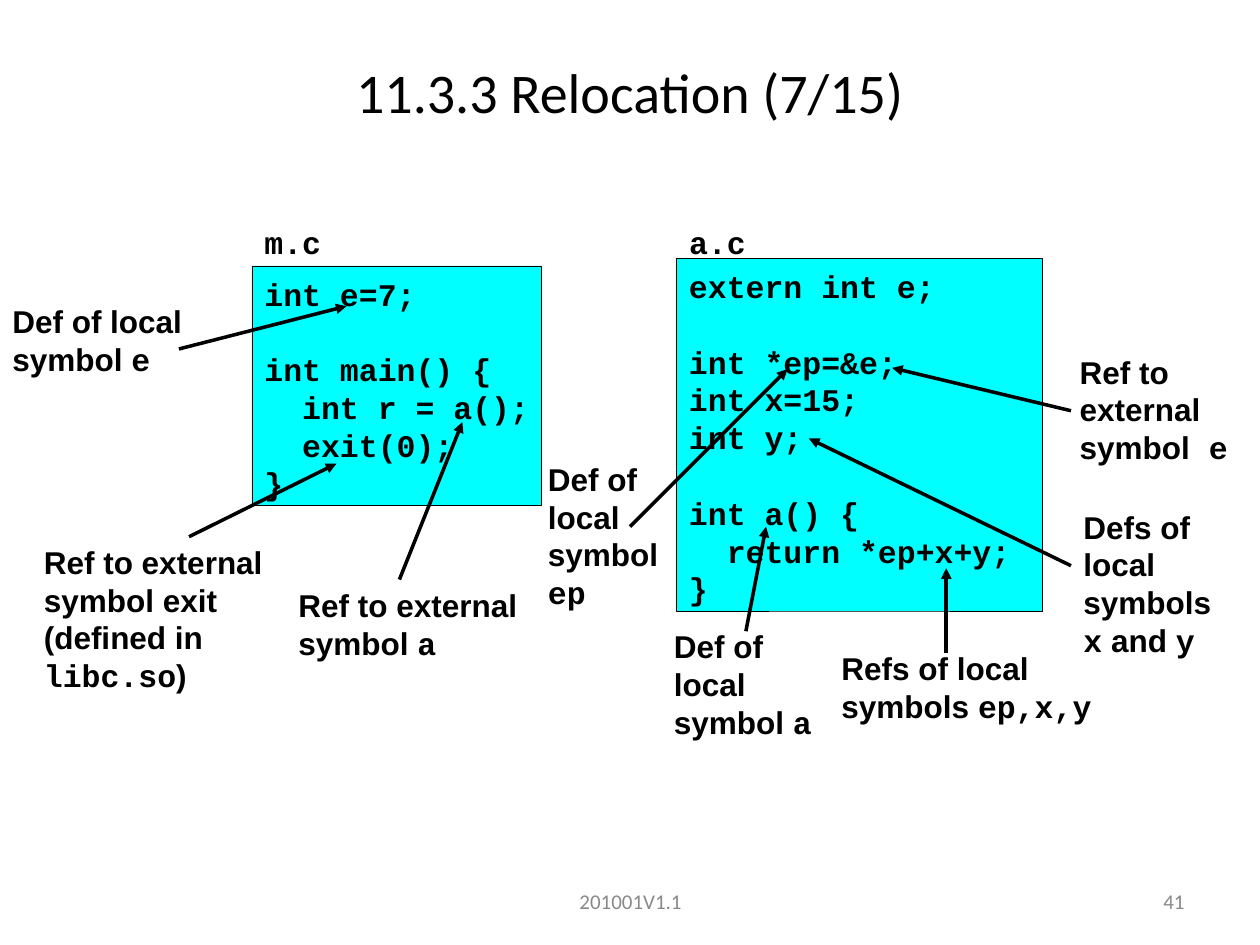
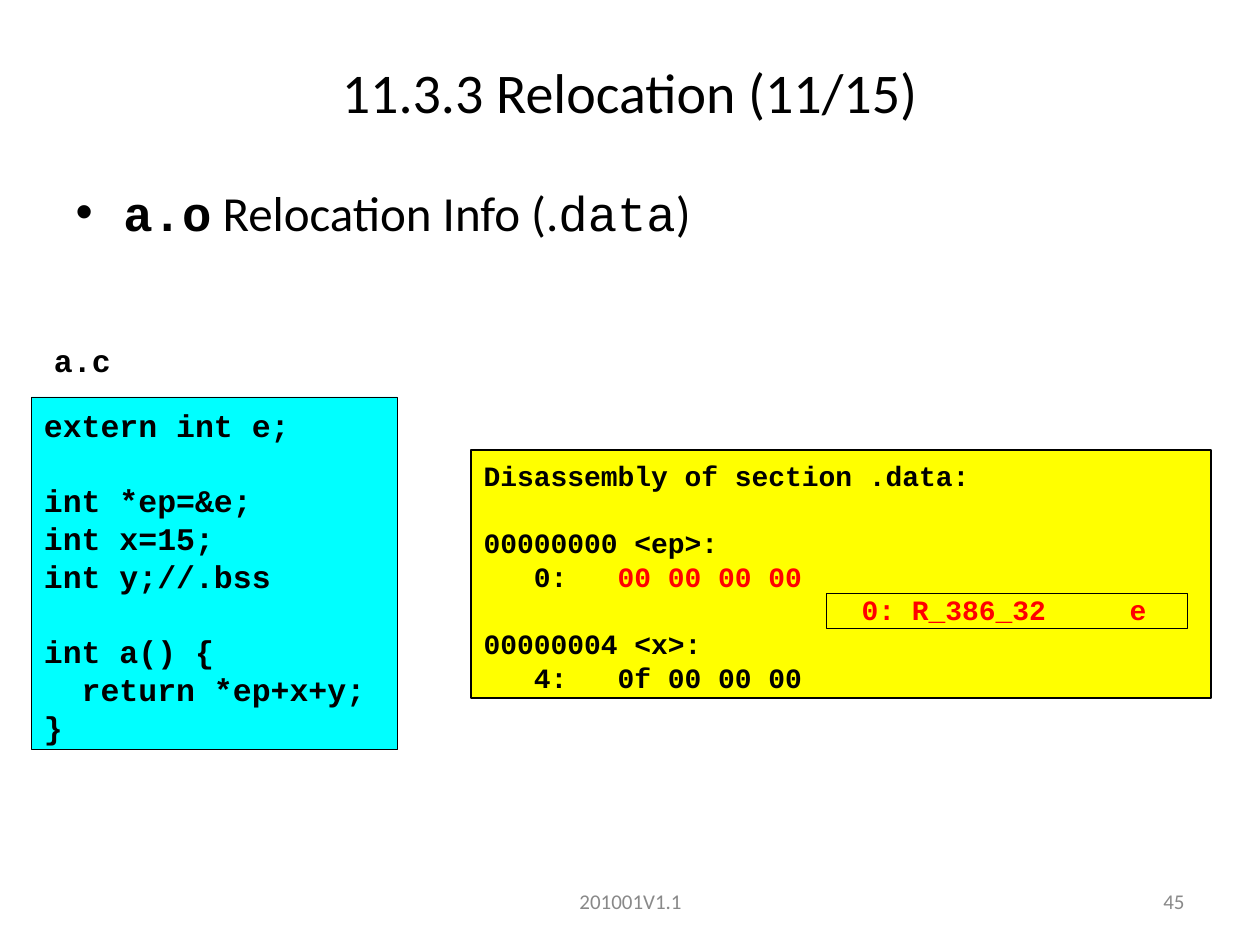
from dataclasses import dataclass, replace
from typing import Optional

from lxml import etree
from pptx import Presentation
from pptx import util as u
from pptx.dml.color import RGBColor
from pptx.enum import shapes, text
from pptx.oxml import ns

COLUMNS, ROWS = 100, 75
CELL = u.Inches(0.1)
LEADING = 1.2  # line pitch as a share of the type size


@dataclass(frozen=True)
class Style:
    font: str
    size: int
    color: str = "000000"
    bold: bool = False


@dataclass(frozen=True)
class Theme:
    ink: str = "000000"
    paper: str = "FFFFFF"
    source_fill: str = "00FFFF"
    listing_fill: str = "FFFF00"
    hairline: float = 0.25
    frame: float = 1
    arrow: float = 2
    title: Style = Style("Calibri", 32)
    footer: Style = Style("Calibri", 12, "898989")
    body: Style = Style("Calibri", 28)
    body_code: Style = Style("Courier New", 28)
    code: Style = Style("Courier New", 18, bold=True)
    note: Style = Style("Arial", 18, bold=True)
    listing: Style = Style("Courier New", 16, bold=True)
    patch: Style = Style("Courier New", 16, "FF0000", True)


THEME = Theme()


@dataclass(frozen=True)
class Area:
    """A rectangle in grid columns and rows."""
    column: float
    row: float
    columns: float
    rows: float


@dataclass(frozen=True)
class Span:
    text: str
    style: Style


@dataclass(frozen=True)
class Line:
    spans: tuple[Span, ...]
    indent: float = 0


@dataclass(frozen=True)
class Panel:
    area: Area
    lines: tuple[Optional[Line], ...]
    fill: Optional[str] = None
    border: str = THEME.ink
    width: float = THEME.hairline


@dataclass(frozen=True)
class Callout:
    area: Area
    lines: tuple[Line, ...]
    start: tuple[float, float]
    end: tuple[float, float]


def cells(count: float) -> int:
    return round(count * CELL)


def place(area: Area) -> tuple[int, ...]:
    return tuple(map(cells, (area.column, area.row, area.columns, area.rows)))


def styled(style: Style, *texts: str) -> tuple[Optional[Line], ...]:
    """One line per text; an empty text stands for a blank line."""
    return tuple(Line((Span(t, style),)) if t else None for t in texts)


def mixed(*parts: str) -> Line:
    """A note line whose parts alternate between note and code style."""
    styles = (THEME.note, THEME.code)
    return Line(tuple(Span(part, styles[i % 2])
                      for i, part in enumerate(parts) if part))


def write_spans(para, spans: tuple[Span, ...]) -> None:
    for item in spans:
        span = para.add_run()
        span.text = item.text
        font = span.font
        font.name, font.bold = item.style.font, item.style.bold
        font.size = u.Pt(item.style.size)
        font.color.rgb = RGBColor.from_string(item.style.color)


def write_lines(box, lines, top: float = 0.05, right: float = 0.1) -> None:
    """Fill a box with evenly pitched lines; None widens the gap by a line."""
    frame = box.text_frame
    frame.word_wrap = True
    frame.vertical_anchor = text.MSO_ANCHOR.TOP
    frame.margin_top, frame.margin_right = u.Inches(top), u.Inches(right)
    para, gap = frame.paragraphs[0], 0
    for number, line in enumerate(lines):
        if line is None:
            gap += 1
            continue
        if number:
            para = frame.add_paragraph()
        pitch = LEADING * line.spans[0].style.size
        para.alignment = text.PP_ALIGN.LEFT
        para.line_spacing = u.Pt(pitch)
        if gap:
            para.space_before = u.Pt(gap * pitch)
        if line.indent:
            para._p.get_or_add_pPr().set("marL", str(cells(line.indent)))
        write_spans(para, line.spans)
        gap = 0


def add_panel(page, panel: Panel) -> None:
    box = page.shapes.add_shape(shapes.MSO_SHAPE.RECTANGLE, *place(panel.area))
    box.shadow.inherit = False
    if panel.fill:
        box.fill.solid()
        box.fill.fore_color.rgb = RGBColor.from_string(panel.fill)
    else:
        box.fill.background()
    box.line.color.rgb = RGBColor.from_string(panel.border)
    box.line.width = u.Pt(panel.width)
    write_lines(box, panel.lines, top=0.07, right=0)


def add_arrow(page, start: tuple[float, float], end: tuple[float, float]) -> None:
    arrow = page.shapes.add_connector(shapes.MSO_CONNECTOR.STRAIGHT,
                                      *map(cells, start + end))
    arrow.line.color.rgb = RGBColor.from_string(THEME.ink)
    arrow.line.width = u.Pt(THEME.arrow)
    properties = arrow._element.spPr
    outline = properties.find(ns.qn("a:ln"))
    etree.SubElement(outline, ns.qn("a:tailEnd")).set("type", "triangle")
    etree.SubElement(properties, ns.qn("a:effectLst"))


def add_callout(page, callout: Callout) -> None:
    box = page.shapes.add_textbox(*place(callout.area))
    write_lines(box, callout.lines)
    add_arrow(page, callout.start, callout.end)


def add_heading(page, area: Area, span: Span, alignment) -> None:
    frame = page.shapes.add_textbox(*place(area)).text_frame
    frame.word_wrap = True
    frame.vertical_anchor = text.MSO_ANCHOR.MIDDLE
    frame.paragraphs[0].alignment = alignment
    write_spans(frame.paragraphs[0], (span,))


def add_bullet(page, area: Area, spans: tuple[Span, ...]) -> None:
    frame = page.shapes.add_textbox(*place(area)).text_frame
    frame.word_wrap = True
    frame.margin_left = 0
    para = frame.paragraphs[0]
    properties = para._p.get_or_add_pPr()
    properties.set("marL", str(cells(3.8)))
    properties.set("indent", str(cells(-3.8)))
    etree.SubElement(properties, ns.qn("a:buFont")).set("typeface", "Arial")
    etree.SubElement(properties, ns.qn("a:buChar")).set("char", "•")
    write_spans(para, spans)


def add_page(deck, part: int, number: int):
    """A blank page with the shared title and footer."""
    page = deck.slides.add_slide(deck.slide_layouts[6])
    align = text.PP_ALIGN
    add_heading(page, Area(34.2, 69.5, 31.7, 4),
                Span("201001V1.1", THEME.footer), align.CENTER)
    add_heading(page, Area(71.7, 69.5, 23.3, 4),
                Span(str(number), THEME.footer), align.RIGHT)
    add_heading(page, Area(0, 3, COLUMNS, 8.5),
                Span(f"11.3.3 Relocation ({part}/15)", THEME.title), align.CENTER)
    return page


def file_label(name: str, column: float, row: float) -> Panel:
    return Panel(Area(column, row, 6.5, 4), styled(THEME.code, name),
                 border=THEME.paper)


def a_source(column: float, row: float, y_line: str) -> Panel:
    lines = styled(THEME.code, "extern int e;", "", "int *ep=&e;", "int x=15;",
                   y_line, "", "int a() {", "  return *ep+x+y;", "}")
    return Panel(Area(column, row, 29, 28), lines, THEME.source_fill)


M_SOURCE = Panel(
    Area(20, 21.1, 23, 19),
    styled(THEME.code, "int e=7;", "", "int main() {", "  int r = a();",
           "  exit(0);", "}"),
    THEME.source_fill)

CALLOUTS = (
    Callout(Area(0, 23.5, 16.7, 7),
            (mixed("Def of local"), mixed("symbol ", "e")),
            (14.2, 27.7), (27.5, 24.3)),
    Callout(Area(2.5, 42.6, 20, 13),
            (mixed("Ref to external"), mixed("symbol exit"),
             mixed("(defined in"), mixed("", "libc.so", ")")),
            (15, 42.6), (26.7, 36.8)),
    Callout(Area(84.7, 27.5, 14.7, 10),
            (mixed("Ref to"), mixed("external"), mixed("symbol", " e")),
            (85, 32.6), (70.8, 29.2)),
    Callout(Area(42.5, 36, 11.4, 13),
            (mixed("Def of"), mixed("local"), mixed("symbol"), mixed("", "ep")),
            (50, 41.8), (62.5, 29.3)),
    Callout(Area(85, 39.8, 13.5, 13),
            (mixed("Defs of local"), mixed("symbols ", "x", " and ", "y")),
            (85, 44.9), (64.2, 34.8)),
    Callout(Area(65.8, 51, 23.2, 7),
            (mixed("Refs of local"), mixed("symbols ", "ep,x,y")),
            (75.1, 51.8), (75.1, 45.1)),
    Callout(Area(52.5, 49.3, 13.6, 10),
            (mixed("Def of"), mixed("local"), mixed("symbol ", "a")),
            (59.2, 50.1), (60.8, 41.8)),
    Callout(Area(22.7, 46, 20, 7),
            (mixed("Ref to external"), mixed("symbol ", "a")),
            (31.7, 46), (36.7, 33.5)),
)

DISASSEMBLY = Panel(
    Area(37.4, 35.7, 58.7, 19.7),
    (*styled(THEME.listing, "Disassembly of section .data:", "", "00000000 <ep>:"),
     Line((Span("   0:   ", THEME.listing), Span("00 00 00 00", THEME.patch))),
     Line((Span("0: R_386_32     e", THEME.patch),), indent=30),
     *styled(THEME.listing, "00000004 <x>:", "   4:   0f 00 00 00")),
    THEME.listing_fill, width=THEME.frame)
RELOCATION_FRAME = Panel(Area(65.6, 47.1, 28.6, 2.8), ())


def build_symbols_page(deck) -> None:
    page = add_page(deck, 7, 41)
    for panel in (M_SOURCE, file_label("m.c", 20, 17), file_label("a.c", 53.7, 17),
                  a_source(53.7, 20.5, "int y;")):
        add_panel(page, panel)
    for callout in CALLOUTS:
        add_callout(page, callout)


def build_data_page(deck) -> None:
    page = add_page(deck, 11, 45)
    for panel in (file_label("a.c", 3.3, 26.4), a_source(2.5, 31.5, "int y;//.bss"),
                  DISASSEMBLY, RELOCATION_FRAME):
        add_panel(page, panel)
    add_bullet(page, Area(6, 14, 89, 53), (
        Span("a.o", replace(THEME.body_code, bold=True)),
        Span(" Relocation Info (.", THEME.body),
        Span("data", THEME.body_code),
        Span(")", THEME.body)))


def main() -> None:
    deck = Presentation()
    deck.slide_width, deck.slide_height = COLUMNS * CELL, ROWS * CELL
    build_symbols_page(deck)
    build_data_page(deck)
    deck.save("out.pptx")


if __name__ == "__main__":
    main()
